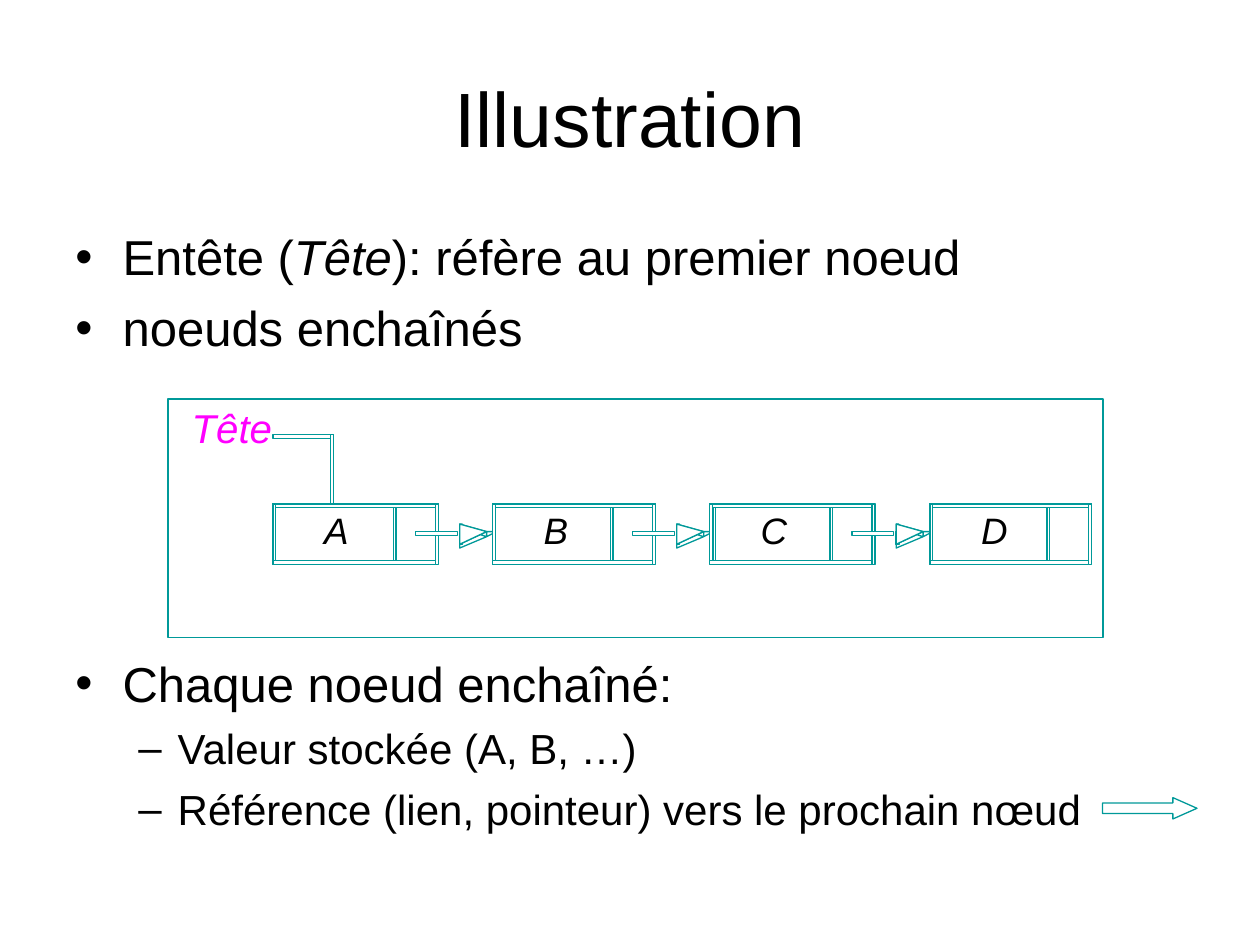
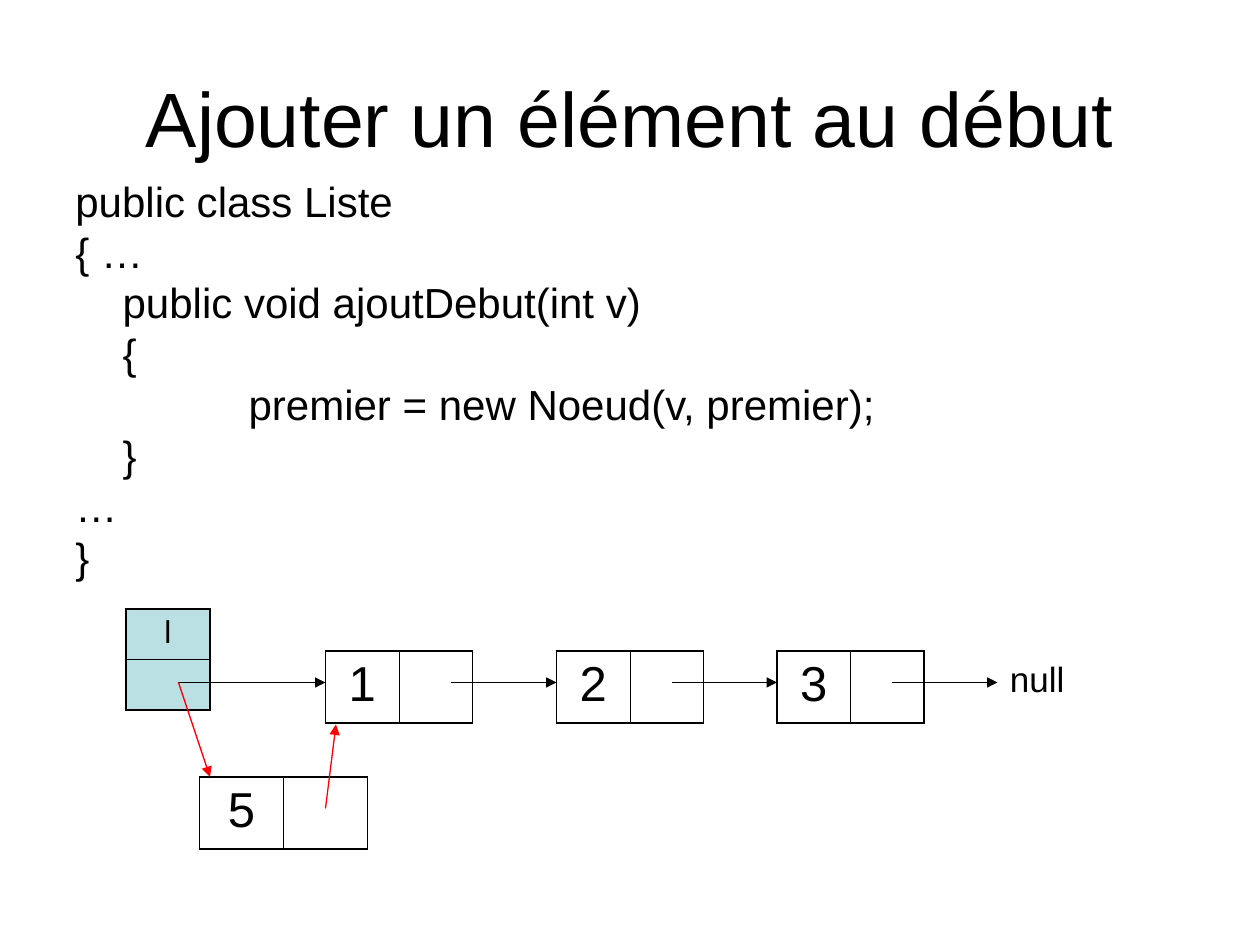
from lxml import etree
from pptx import Presentation
from pptx.dml.color import RGBColor
from pptx.enum.shapes import MSO_CONNECTOR, MSO_SHAPE
from pptx.enum.text import MSO_ANCHOR, PP_ALIGN
from pptx.oxml.ns import qn
from pptx.util import Pt

LEFT, CENTER = PP_ALIGN.LEFT, PP_ALIGN.CENTER
TOP, MIDDLE = MSO_ANCHOR.TOP, MSO_ANCHOR.MIDDLE
RECT, ARROW = MSO_SHAPE.RECTANGLE, MSO_SHAPE.RIGHT_ARROW
STRAIGHT = MSO_CONNECTOR.STRAIGHT

BLACK, WHITE, TEAL = "000000", "FFFFFF", "009999"
PINK, RED, PALE = "FF00FF", "FF0000", "BBE0E3"
THICK, THIN = 1.08, 0.45
BAR, POST = 2.16, 1.6


def color(code):
    return RGBColor.from_string(code)


def child(parent, tag, **attrs):
    return etree.SubElement(parent, qn(tag), attrs)


class Deck:
    font = "Arial"

    def __init__(self):
        self.show = Presentation()
        self.show.slide_width = Pt(720)
        self.show.slide_height = Pt(540)
        self.shapes = None

    def page(self, title):
        slide = self.show.slides.add_slide(self.show.slide_layouts[6])
        self.shapes = slide.shapes
        frame = self.text(36, 21.6, 648, 90, anchor=MIDDLE)
        self.para(frame, [title], 44, align=CENTER)

    def text(self, x, y, w, h, pad=(7.2, 3.6), wrap=True, anchor=TOP, fill=None):
        box = self.shapes.add_textbox(Pt(x), Pt(y), Pt(w), Pt(h))
        if fill:
            box.fill.solid()
            box.fill.fore_color.rgb = color(fill)
        frame = box.text_frame
        frame.word_wrap = wrap
        frame.vertical_anchor = anchor
        frame.margin_left = frame.margin_right = Pt(pad[0])
        frame.margin_top = frame.margin_bottom = Pt(pad[1])
        return frame

    def para(self, frame, runs, size, ink=BLACK, align=LEFT, left=0, hang=0,
             before=0, pitch=None, mark=None, slant=()):
        para = frame.paragraphs[0]
        if para.runs:
            para = frame.add_paragraph()
        para.alignment = align
        para.space_before = Pt(before)
        if pitch:
            para.line_spacing = pitch
        props = para._p.get_or_add_pPr()
        props.set("marL", str(Pt(left)))
        props.set("indent", str(Pt(-hang)))
        if mark:
            child(props, "a:buFont", typeface=self.font)
            child(props, "a:buChar", char=mark)
        else:
            child(props, "a:buNone")
        for index, words in enumerate(runs):
            run = para.add_run()
            run.text = words
            run.font.name = self.font
            run.font.size = Pt(size)
            run.font.italic = index in slant
            run.font.color.rgb = color(ink)

    def paint(self, shape, fill, width=0.75):
        shape.shadow.inherit = False
        if fill:
            shape.fill.solid()
            shape.fill.fore_color.rgb = color(fill)
        else:
            shape.fill.background()
        shape.line.color.rgb = color(TEAL)
        shape.line.width = Pt(width)

    def shape(self, x, y, w, h, kind=RECT, fill=WHITE, width=0.75):
        shape = self.shapes.add_shape(kind, Pt(x), Pt(y), Pt(w), Pt(h))
        self.paint(shape, fill, width)
        return shape

    def free(self, x, y, points):
        spots = [(Pt(x + dx), Pt(y + dy)) for dx, dy in points]
        build = self.shapes.build_freeform(*spots[0])
        build.add_line_segments(spots[1:], close=True)
        self.paint(build.convert_to_shape(), WHITE)

    def label(self, x, y, w, h, words, size, ink=BLACK):
        frame = self.text(x, y, w, h, (0, 0), False, fill=WHITE)
        self.para(frame, [words], size, ink, slant=(0,))

    def link(self, x1, y1, x2, y2, ink=BLACK):
        line = self.shapes.add_connector(STRAIGHT, Pt(x1), Pt(y1), Pt(x2), Pt(y2))
        line.line.color.rgb = color(ink)
        line.line.width = Pt(0.75)
        child(line.line._get_or_add_ln(), "a:tailEnd", type="triangle")
        child(line._element.spPr, "a:effectLst")

    def table(self, x, y, w, h, rows, size, fill=None):
        tall, wide = len(rows), len(rows[0])
        frame = self.shapes.add_table(tall, wide, Pt(x), Pt(y), Pt(w), Pt(h))
        grid = frame.table
        grid.first_row = grid.horz_banding = False
        for row in grid.rows:
            row.height = Pt(h / tall)
        for col in grid.columns:
            col.width = Pt(w / wide)
        for r, row in enumerate(rows):
            for c, words in enumerate(row):
                cell = grid.cell(r, c)
                if fill:
                    cell.fill.solid()
                    cell.fill.fore_color.rgb = color(fill)
                else:
                    cell.fill.background()
                if words:
                    self.para(cell.text_frame, [words], size, align=CENTER)
                outer = (c == 0, c == wide - 1, r == 0, r == tall - 1)
                self.edges(cell, outer)

    def edges(self, cell, outer):
        props = cell._tc.get_or_add_tcPr()
        for index, (side, edge) in enumerate(zip("LRTB", outer)):
            width = Pt(THICK if edge else THIN)
            line = etree.Element(qn("a:ln" + side), w=str(width))
            child(child(line, "a:solidFill"), "a:srgbClr", val=BLACK)
            props.insert(index, line)


def node(deck, name, x, cell, mid, end):
    top, low, high = 288, 320.4, 34.56
    deck.shape(cell, top, mid - cell, low - top)
    if cell != x:
        deck.shape(cell, top, POST, low - top)
    for left, right in ((cell, mid), (x, end)):
        if right == end:
            deck.label(x + 29.2, 290.2, 18, 25.2, name, 21)
        deck.shape(left, top, right + POST - left, BAR)
        deck.shape(right, top, POST, high)
        deck.shape(left, low, right - left, BAR)
    deck.shape(x, top, POST, low - top)


def arrow(deck, end):
    x, y = end + 13.7, 299.5
    deck.free(x, y, [(0, 4.3), (0, 0), (15.4, 4.3), (20.9, 4.3), (15.4, 7.2),
                     (0, 13.7), (0, 11.5), (15.4, 4.3), (15.4, 7.2),
                     (0, 2.2), (0, 0), (1.6, 0), (1.6, 4.3)])
    deck.free(x, y, [(0, 11.5), (0, 4.3), (1.6, 4.3), (1.6, 11.5)])
    deck.free(x, y, [(0, 4.3), (0, 0), (15.4, 4.3), (0, 11.5)])
    deck.shape(end - 11.5, 303.8, 23.8, BAR)


def chain(deck):
    deck.page("Illustration")
    frame = deck.text(36, 126, 648, 356.4)
    head = dict(size=28, left=27, hang=27, mark="•")
    deck.para(frame, ["Entête (", "Tête", "): réfère au premier noeud"],
              before=7, slant=(1,), **head)
    deck.para(frame, ["noeuds enchaînés"], before=7, **head)
    deck.para(frame, ["Chaque noeud enchaîné:"], before=169.5, **head)
    for words in ("Valeur stockée (A, B, …)",
                  "Référence (lien, pointeur) vers le prochain nœud"):
        deck.para(frame, [words], 24, left=58.5, hang=22.5, before=6, mark="–")

    deck.shape(96, 228, 534.5, 136.3, width=1)
    deck.label(109.5, 230.4, 54, 27.4, "Tête", 23, PINK)
    deck.shape(156, 248.4, 34.5, BAR)
    deck.shape(189, 248.4, POST, 39.6)
    nodes = [("A", 156, 156, 224.8, 249), ("B", 281.5, 281.5, 348.7, 373),
             ("C", 405.5, 407.5, 474.3, 498.4), ("D", 531.5, 531.5, 598.3, 622.2)]
    for item in nodes:
        node(deck, *item)
        if item != nodes[-1]:
            arrow(deck, item[-1])
    sign = deck.shape(630, 455.8, 54, 12.2, ARROW, None)
    sign.adjustments[0] = 0.5
    sign.adjustments[1] = 1.13


def insert(deck):
    deck.page("Ajouter un élément au début")
    frame = deck.text(36, 102.2, 642.2, 239.8)
    code = [("public class Liste", 0), ("{ …", 0),
            ("public void ajoutDebut(int v)", 27), ("{", 27),
            ("premier = new Noeud(v, premier);", 99), ("}", 27),
            ("…", 0), ("}", 0)]
    for words, left in code:
        deck.para(frame, [words], 24, left=left, before=6, pitch=0.8)

    axis = 390
    deck.table(72, 348, 48, 57.6, [["l"], [""]], 18, PALE)
    for name, x in (("1", 186), ("2", 318), ("3", 444)):
        deck.table(x, 372, 84, 41, [[name, ""]], 28)
    frame = deck.text(570, 372, 54, 31.7, wrap=False)
    deck.para(frame, ["null"], 20)
    for x in (318, 444, 570):
        deck.link(x - 60, axis, x, axis)
    deck.link(102, axis, 186, axis)
    deck.table(114, 444, 96, 41, [["5", ""]], 28)
    deck.link(102, axis, 120, 444, RED)
    deck.link(186, 462, 192, 414, RED)


def main():
    deck = Deck()
    chain(deck)
    insert(deck)
    deck.show.save("out.pptx")


if __name__ == "__main__":
    main()
